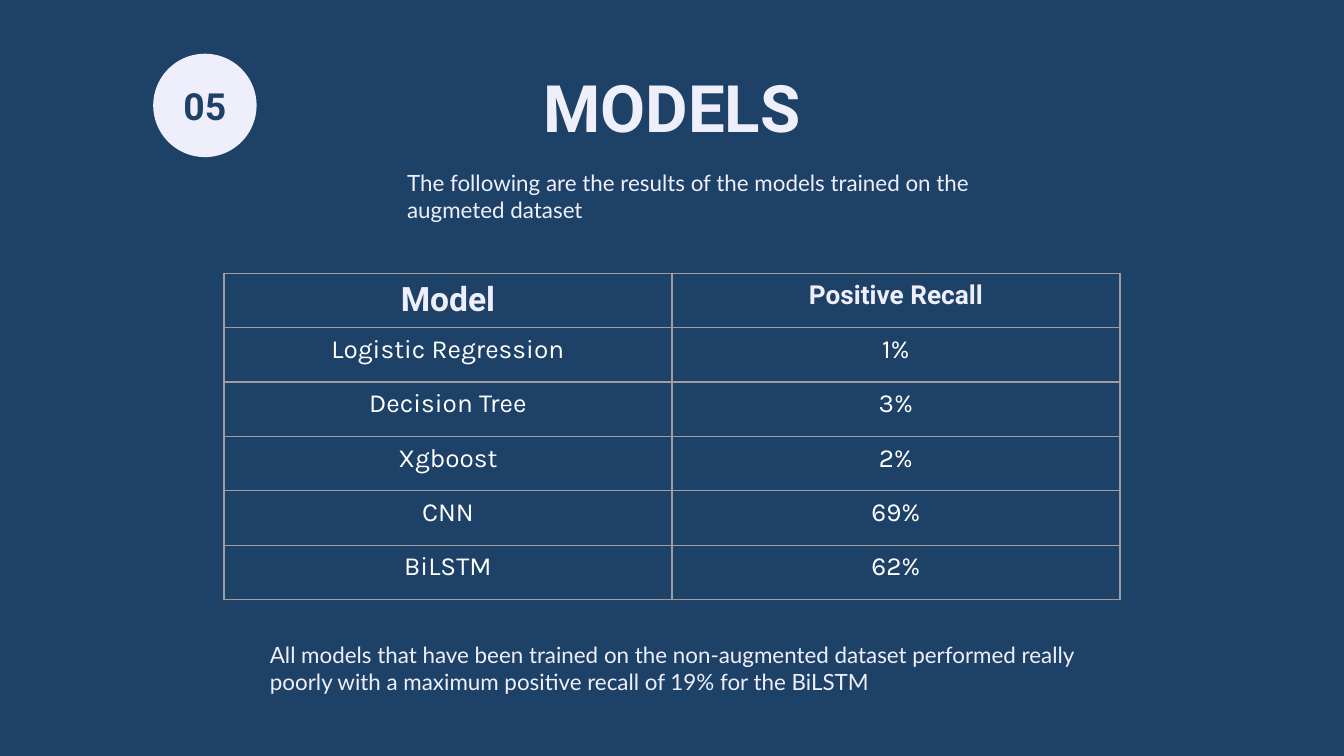
"""Build a slide that lists the positive recall of each model."""
from typing import NamedTuple

from lxml import etree
from pptx import Presentation
from pptx.dml.color import RGBColor
from pptx.enum.shapes import MSO_SHAPE
from pptx.enum.text import MSO_ANCHOR, PP_ALIGN
from pptx.oxml.ns import qn
from pptx.util import Pt

NAVY = RGBColor(0x1D, 0x41, 0x67)
PALE = RGBColor(0xEF, 0xEF, 0xFB)
WHITE = RGBColor(0xFF, 0xFF, 0xFF)
GREY = RGBColor(0x9E, 0x9E, 0x9E)
LEFT, CENTER = PP_ALIGN.LEFT, PP_ALIGN.CENTER
TOP, MIDDLE = MSO_ANCHOR.TOP, MSO_ANCHOR.MIDDLE
OVAL = MSO_SHAPE.OVAL
BORDER_WIDTH = Pt(0.75)
BORDER_TAGS = ("a:lnL", "a:lnR", "a:lnT", "a:lnB")


class Style(NamedTuple):
    font: str
    size: float
    color: RGBColor
    bold: bool = False
    align: PP_ALIGN = CENTER


class Label(NamedTuple):
    text: str
    left: float
    top: float
    width: float
    height: float
    style: Style
    inset: float = 3.6


class Row(NamedTuple):
    model: str
    recall: str


TITLE = Style("Roboto", 35, PALE, True)
NUMBER = Style("Roboto", 20, NAVY, True)
MODEL_HEAD = Style("Roboto", 18, PALE, True)
RECALL_HEAD = Style("Roboto", 14, PALE, True)
BODY = Style("Karla", 14, WHITE)
NOTE = Style("Lato", 12, PALE, align=LEFT)

HEADING = Label("MODELS", 56.7, 28.8, 606.6, 45.4, TITLE, 7.2)
BADGE = Label("05", 82.1, 28.8, 55.4, 55.4, NUMBER, 7.2)
NOTES = (
    Label("All models that have been trained on the non-augmented dataset "
          "performed really poorly with a maximum positive recall of 19% "
          "for the BiLSTM", 137.5, 339.8, 447.8, 36, NOTE),
    Label("The following are the results of the models trained on the "
          "augmeted dataset", 211, 87.1, 319, 36, NOTE),
)
ROWS = (
    Row("Model", "Positive Recall"),
    Row("Logistic Regression", "1%"),
    Row("Decision Tree", "3%"),
    Row("Xgboost", "2%"),
    Row("CNN", "69%"),
    Row("BiLSTM", "62%"),
)
TABLE_LEFT, TABLE_TOP = 120, 146.4
COLUMN_WIDTH, ROW_HEIGHT = 240, 29.16


def write(frame, text: str, style: Style) -> None:
    """Write one styled span in a text frame."""
    para = frame.paragraphs[0]
    para.alignment = style.align
    span = para.add_run()
    span.text = text
    span.font.name = style.font
    span.font.size = Pt(style.size)
    span.font.bold = style.bold
    span.font.color.rgb = style.color


def fill_frame(frame, label: Label, anchor: MSO_ANCHOR) -> None:
    """Set the insets and wrapping of a frame and write its label."""
    frame.word_wrap = True
    frame.vertical_anchor = anchor
    frame.margin_left = frame.margin_right = Pt(7.2)
    frame.margin_top = frame.margin_bottom = Pt(label.inset)
    write(frame, label.text, label.style)


def place(label: Label) -> tuple[Pt, Pt, Pt, Pt]:
    """Return the bounds of a label as lengths."""
    return Pt(label.left), Pt(label.top), Pt(label.width), Pt(label.height)


def add_text(page, label: Label) -> None:
    """Add a text box."""
    box = page.shapes.add_textbox(*place(label))
    fill_frame(box.text_frame, label, TOP)


def add_badge(page, label: Label) -> None:
    """Add the round section number."""
    circle = page.shapes.add_shape(OVAL, *place(label))
    circle.shadow.inherit = False
    circle.fill.solid()
    circle.fill.fore_color.rgb = PALE
    circle.line.fill.background()
    fill_frame(circle.text_frame, label, MIDDLE)


def draw_borders(cell) -> None:
    """Draw a thin line on all four sides of a cell."""
    properties = cell._tc.get_or_add_tcPr()
    for index, tag in enumerate(BORDER_TAGS):
        line = etree.Element(qn(tag), w=str(BORDER_WIDTH))
        fill = etree.SubElement(line, qn("a:solidFill"))
        etree.SubElement(fill, qn("a:srgbClr"), val=str(GREY))
        properties.insert(index, line)


def add_results(page, rows: tuple[Row, ...]) -> None:
    """Add the table of models and their recall."""
    table = page.shapes.add_table(
        len(rows), len(Row._fields), Pt(TABLE_LEFT), Pt(TABLE_TOP),
        Pt(COLUMN_WIDTH * len(Row._fields)), Pt(ROW_HEIGHT * len(rows))).table
    table.first_row = table.horz_banding = False
    for column in table.columns:
        column.width = Pt(COLUMN_WIDTH)
    for index, row in enumerate(rows):
        table.rows[index].height = Pt(ROW_HEIGHT)
        styles = (BODY, BODY) if index else (MODEL_HEAD, RECALL_HEAD)
        for position, (text, style) in enumerate(zip(row, styles)):
            cell = table.cell(index, position)
            cell.fill.background()
            draw_borders(cell)
            write(cell.text_frame, text, style)


def main() -> None:
    """Build and save the deck."""
    deck = Presentation()
    deck.slide_width, deck.slide_height = Pt(720), Pt(405)
    page = deck.slides.add_slide(deck.slide_layouts[6])
    page.background.fill.solid()
    page.background.fill.fore_color.rgb = NAVY
    add_text(page, HEADING)
    add_results(page, ROWS)
    add_badge(page, BADGE)
    for note in NOTES:
        add_text(page, note)
    deck.save("out.pptx")


if __name__ == "__main__":
    main()
